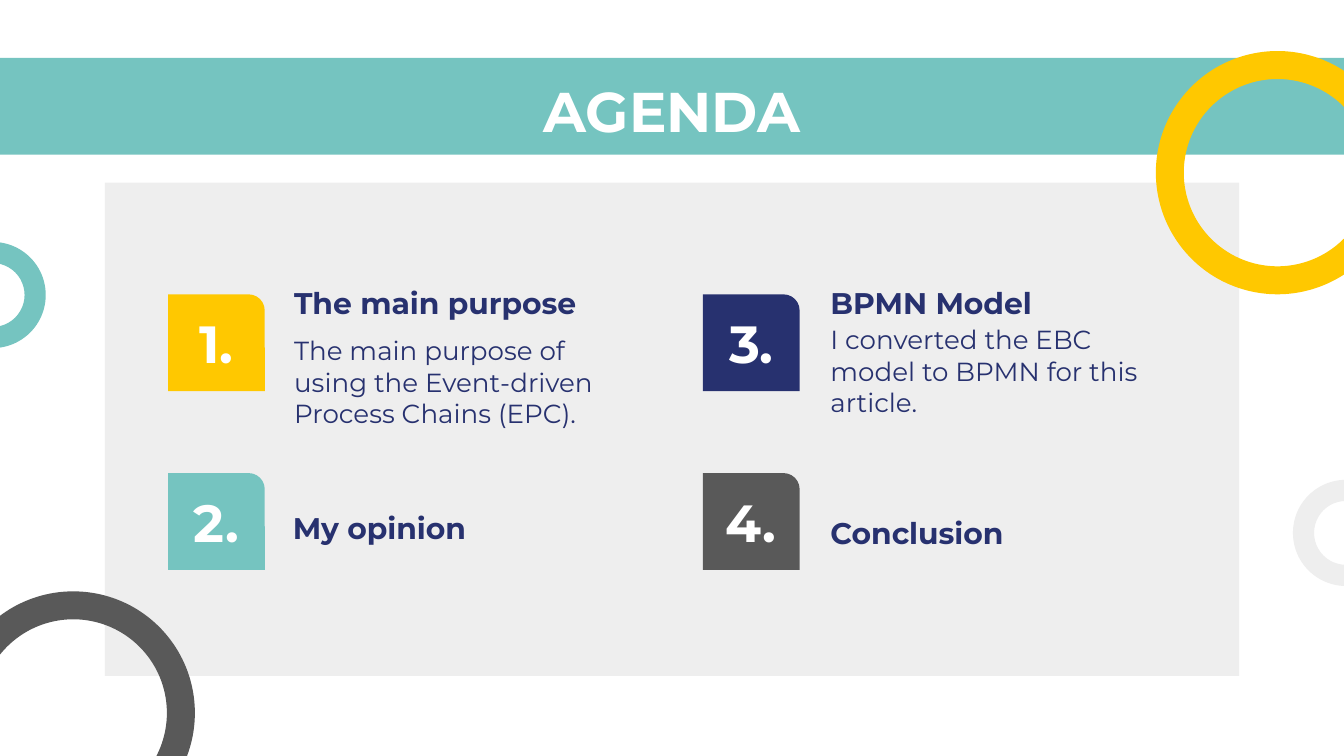
from pptx import Presentation
from pptx.dml.color import RGBColor
from pptx.enum.shapes import MSO_SHAPE as Shape
from pptx.enum.text import MSO_ANCHOR as Anchor, MSO_AUTO_SIZE as AutoSize, PP_ALIGN as Align
from pptx.util import Inches, Pt

TEAL, YELLOW, NAVY = "75C4C0", "FFC800", "27316F"
DARK, LIGHT, WHITE = "595959", "EEEEEE", "FFFFFF"
FONT = "Montserrat"
SLIDE_WIDTH = 10
BADGE = 0.72
TEXT_WIDTH = 2.68

# left, top, diameter, ring thickness ratio, colour
RINGS = [
    (8.6, 0.38, 1.81, 0.115, YELLOW),
    (-0.45, 1.8, 0.79, 0.199, TEAL),
    (9.62, 3.57, 0.79, 0.199, LIGHT),
    (-0.36, 4.4, 1.81, 0.115, DARK),
]

# badge colour, heading, heading left and top, description, description top
TOPICS = [
    (YELLOW, "The main\u00a0purpose", 2.09, 2.02,
     "The main\u00a0purpose of using the Event-driven Process Chains (EPC).", 2.39),
    (TEAL, "My opinion", 2.08, 3.69, None, None),
    (NAVY, "BPMN Model", 6.08, 2.02,
     "I converted the EBC model to BPMN for this article.", 2.31),
    (DARK, "Conclusion", 6.08, 3.73, None, None),
]


def color(hex_code):
    return RGBColor.from_string(hex_code)


def add_block(slide, kind, left, top, width, height, fill, adjust=None):
    block = slide.shapes.add_shape(
        kind, Inches(left), Inches(top), Inches(width), Inches(height))
    block.shadow.inherit = False
    block.fill.solid()
    block.fill.fore_color.rgb = color(fill)
    block.line.fill.background()
    if adjust is not None:
        block.adjustments[0] = adjust


def add_ring(slide, left, top, diameter, thickness, fill):
    add_block(slide, Shape.DONUT, left, top, diameter, diameter, fill, thickness)


def write(holder, text, size=16, fill=NAVY, bold=True, align=Align.LEFT, anchor=Anchor.TOP):
    frame = holder.text_frame
    frame.word_wrap = True
    frame.auto_size = AutoSize.NONE
    frame.vertical_anchor = anchor
    frame.margin_left = frame.margin_right = Inches(0.1)
    frame.margin_top = frame.margin_bottom = Inches(0.1)
    paragraph = frame.paragraphs[0]
    paragraph.alignment = align
    run = paragraph.add_run()
    run.text = text
    run.font.name = FONT
    run.font.size = Pt(size)
    run.font.bold = bold
    run.font.color.rgb = color(fill)


def add_text(slide, text, left, top, width, height, **style):
    box = slide.shapes.add_textbox(
        Inches(left), Inches(top), Inches(width), Inches(height))
    write(box, text, **style)


def add_title(slide, text):
    title = slide.shapes.title
    title.left, title.top = Inches(0.78), Inches(0.47)
    title.width, title.height = Inches(8.44), Inches(0.63)
    write(title, text, size=30, fill=WHITE, align=Align.CENTER)
    # Bring the title in front of the banner
    title.element.getparent().append(title.element)


def add_topic(slide, index, badge_fill, heading, left, top, detail, detail_top):
    """Place a numbered topic; numbers run down the left column, then the right."""
    column, row = divmod(index, 2)
    badge_left, badge_top = 1.25 + 3.98 * column, 2.19 + 1.33 * row
    add_block(slide, Shape.ROUND_1_RECTANGLE, badge_left, badge_top,
              BADGE, BADGE, badge_fill, 0.167)
    add_text(slide, f"{index + 1}.", badge_left, badge_top + 0.11, BADGE, 0.5,
             size=28, fill=WHITE, align=Align.CENTER, anchor=Anchor.MIDDLE)
    add_text(slide, heading, left, top, TEXT_WIDTH, 0.39)
    if detail:
        add_text(slide, detail, left, detail_top, TEXT_WIDTH, 0.67, size=14, bold=False)


def main():
    deck = Presentation()
    deck.slide_width = Inches(SLIDE_WIDTH)
    deck.slide_height = Inches(SLIDE_WIDTH * 9 / 16)
    slide = deck.slides.add_slide(deck.slide_layouts[5])

    add_block(slide, Shape.RECTANGLE, -0.17, 0.43, 10.34, 0.72, TEAL)
    add_block(slide, Shape.RECTANGLE, 0.78, 1.36, 8.44, 3.67, LIGHT)
    for ring in RINGS:
        add_ring(slide, *ring)
    for index, topic in enumerate(TOPICS):
        add_topic(slide, index, *topic)
    add_title(slide, "AGENDA")

    deck.save("out.pptx")


if __name__ == "__main__":
    main()
